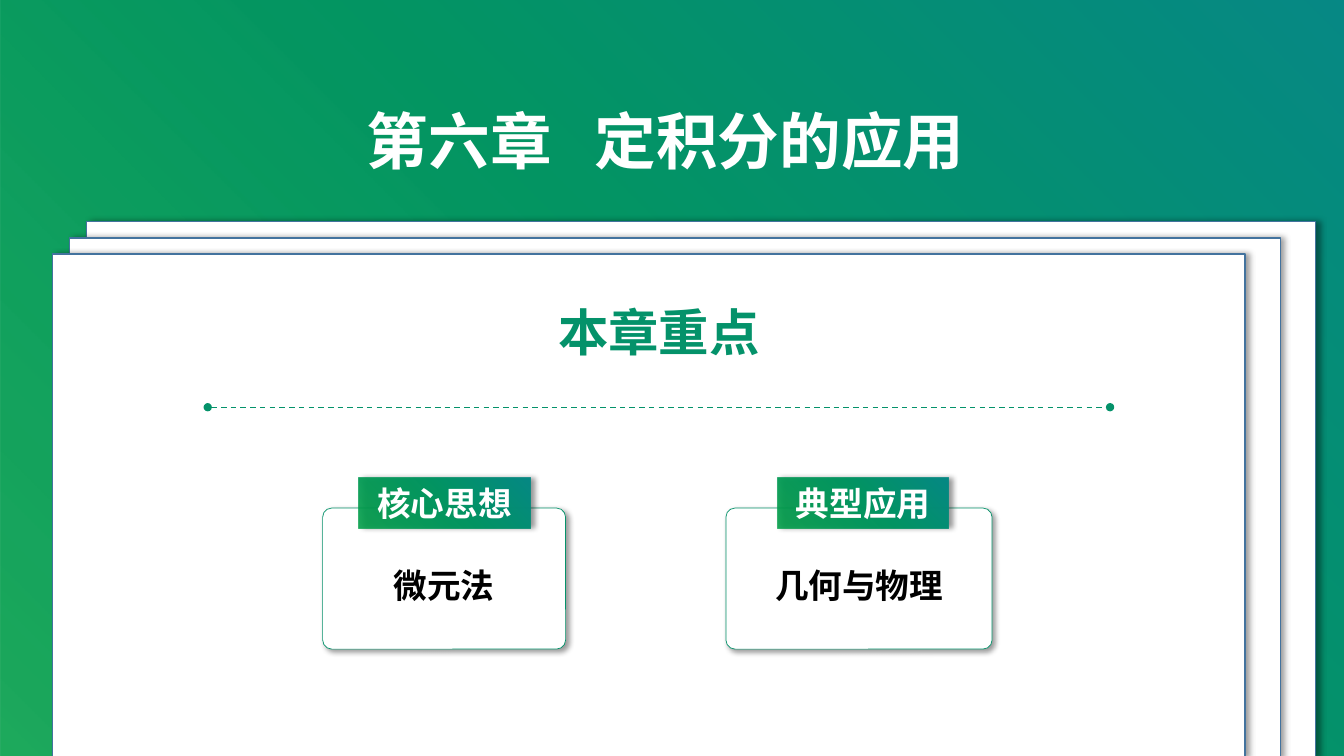
from dataclasses import dataclass

from lxml.etree import SubElement
from pptx import Presentation
from pptx.dml.color import RGBColor
from pptx.enum.dml import MSO_LINE
from pptx.enum.shapes import MSO_CONNECTOR, MSO_SHAPE
from pptx.enum.text import MSO_ANCHOR, PP_ALIGN
from pptx.oxml import parse_xml
from pptx.oxml.ns import nsdecls, qn
from pptx.util import Inches, Pt


@dataclass(frozen=True)
class Theme:
    """Colours, fonts and type sizes of the slide."""
    white: str = "FFFFFF"
    black: str = "000000"
    edge: str = "43739E"
    green: str = "04926A"
    stops: tuple = ((0, "009E47", 88), (55, "039463", 100), (100, "068885", 100))
    body: str = "Calibri"
    head: str = "Noto Sans CJK SC"
    title: int = 44
    topic: int = 36
    label: int = 24


THEME = Theme()


def blend(shape):
    """Fill a shape with the green radial gradient."""
    stops = "".join(
        f'<a:gs pos="{pos * 1000}"><a:srgbClr val="{tone}">'
        f'<a:alpha val="{alpha * 1000}"/></a:srgbClr></a:gs>'
        for pos, tone, alpha in THEME.stops)
    grad = parse_xml(
        f'<a:gradFill {nsdecls("a")} rotWithShape="1"><a:gsLst>{stops}</a:gsLst>'
        '<a:path path="circle"><a:fillToRect t="100000" r="100000"/></a:path>'
        '</a:gradFill>')
    shape.fill.background()
    props = shape._element.spPr
    props.replace(props.find(qn("a:noFill")), grad)


def shade(shape, angle):
    """Cast a soft shadow in the given direction."""
    effects = shape._element.spPr.find(qn("a:effectLst"))
    drop = SubElement(effects, qn("a:outerShdw"), blurRad=str(Pt(4)),
                      dist=str(Pt(3)), dir=str(angle * 60000),
                      algn="tl" if angle else "l", rotWithShape="0")
    tone = SubElement(drop, qn("a:srgbClr"), val=THEME.black)
    SubElement(tone, qn("a:alpha"), val="40000")


def block(slide, box, kind=MSO_SHAPE.RECTANGLE, edge=None, width=1, angle=None):
    """Draw a panel, white if it has an edge and gradient if not."""
    shape = slide.shapes.add_shape(kind, *map(Inches, box))
    shape.shadow.inherit = False
    if edge:
        shape.fill.solid()
        shape.fill.fore_color.rgb = RGBColor.from_string(THEME.white)
        shape.line.color.rgb = RGBColor.from_string(edge)
        shape.line.width = Pt(width)
    else:
        blend(shape)
        shape.line.fill.background()
    if angle is not None:
        shade(shape, angle)
    return shape


def write(shape, words, size, tone, face, align=PP_ALIGN.CENTER, stop=None):
    """Set one bold line of text in a shape."""
    frame = shape.text_frame
    frame.word_wrap = True
    frame.vertical_anchor = MSO_ANCHOR.MIDDLE
    para = frame.paragraphs[0]
    para.alignment = align
    if stop:
        tabs = SubElement(para._p.get_or_add_pPr(), qn("a:tabLst"))
        SubElement(tabs, qn("a:tab"), pos=str(Inches(stop)), algn="l")
    run = para.add_run()
    run.text = words
    font = run.font
    font.size, font.bold, font.name = Pt(size), True, face
    font.color.rgb = RGBColor.from_string(tone)
    east = parse_xml(f'<a:ea {nsdecls("a")} typeface="{THEME.head}"/>')
    font._element.find(qn("a:latin")).addnext(east)


def banner(slide, box):
    """Paint the backdrop and the chapter title."""
    left, top, _, _ = box
    block(slide, box)
    text = slide.shapes.add_textbox(
        *map(Inches, (left + 3.54, top + 0.97, 7.18, 0.84)))
    write(text, "第六章\t定积分的应用", THEME.title, THEME.white, THEME.head,
          PP_ALIGN.LEFT, 2.26)


def sheets(slide, box):
    """Stack three white sheets, the rear one filling the box."""
    left, top, width, height = box
    for step in range(3):
        block(slide, (left - 0.17 * step, top + 0.16 * step,
                      width - 0.18 * step, height - 0.16 * step),
              edge=THEME.edge, angle=0)


def topic(slide, box):
    """Place the heading over a dashed rule at the foot of the box."""
    left, top, width, height = box
    text = slide.shapes.add_textbox(*map(Inches, (left, top, width, 0.7)))
    write(text, "本章重点", THEME.topic, THEME.green, THEME.head)
    foot = top + height
    rule = slide.shapes.add_connector(
        MSO_CONNECTOR.STRAIGHT, *map(Inches, (left, foot, left + width, foot)))
    rule.line.color.rgb = RGBColor.from_string(THEME.green)
    rule.line.width = Pt(1)
    rule.line.dash_style = MSO_LINE.DASH
    line = rule.line._get_or_add_ln()
    for end in ("a:headEnd", "a:tailEnd"):
        SubElement(line, qn(end), type="oval")
    SubElement(rule._element.spPr, qn("a:effectLst"))


def card(slide, box, inset, name, words):
    """Draw a rounded card with a badge across its top edge."""
    left, top, width, _ = box
    panel = block(slide, box, MSO_SHAPE.ROUNDED_RECTANGLE, THEME.green, 0.5, 45)
    panel.adjustments[0] = 0.065
    badge = block(slide, (left + inset, top - 0.3, 1.7, 0.5), angle=0)
    write(badge, name, THEME.label, THEME.white, THEME.body)
    text = slide.shapes.add_textbox(
        *map(Inches, (left, top + 0.51, width, 0.5)))
    write(text, words, THEME.label, THEME.black, THEME.body)


def main():
    """Build the chapter slide and save it."""
    deck = Presentation()
    deck.slide_width, deck.slide_height = Inches(13.33), Inches(7.5)
    slide = deck.slides.add_slide(deck.slide_layouts[6])
    banner(slide, (0, 0, 13.33, 7.52))
    sheets(slide, (0.86, 2.2, 12.19, 5.32))
    topic(slide, (2.06, 2.94, 8.95, 1.1))
    card(slide, (3.2, 5.04, 2.41, 1.4), 0.36, "核心思想", "微元法")
    card(slide, (7.2, 5.04, 2.64, 1.4), 0.51, "典型应用", "几何与物理")
    deck.save("out.pptx")


if __name__ == "__main__":
    main()
